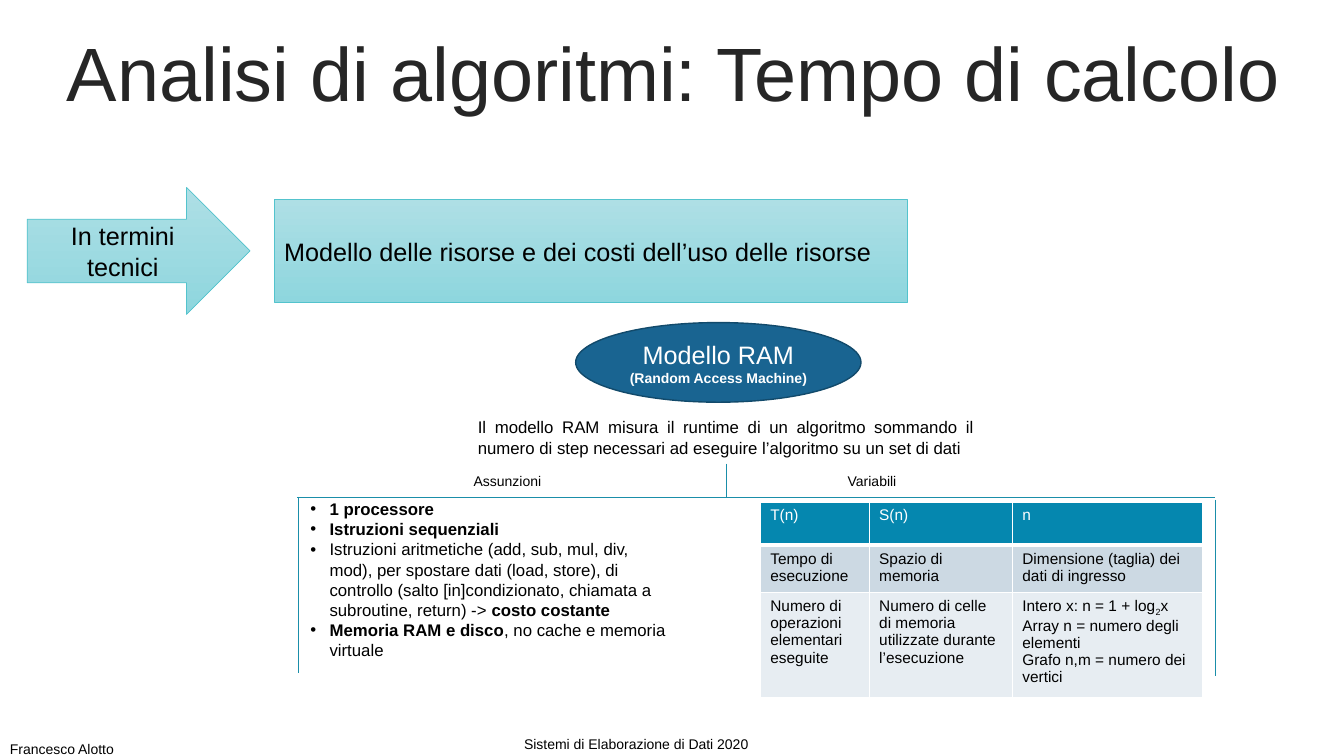
from lxml.etree import SubElement
from pptx import Presentation
from pptx.dml.color import RGBColor
from pptx.enum.shapes import MSO_CONNECTOR as LINK, MSO_SHAPE as SHAPE
from pptx.enum.text import MSO_ANCHOR as ANCHOR, PP_ALIGN as ALIGN
from pptx.oxml.ns import qn
from pptx.util import Inches, Pt

BLACK = RGBColor(0x00, 0x00, 0x00)
WHITE = RGBColor(0xFF, 0xFF, 0xFF)
DARK = RGBColor(0x26, 0x26, 0x26)
PALE = RGBColor(0xAE, 0xDF, 0xE5)
AQUA = RGBColor(0x8E, 0xD6, 0xDE)
EDGE = RGBColor(0x53, 0xC3, 0xCD)
BLUE = RGBColor(0x19, 0x64, 0x91)
NAVY = RGBColor(0x12, 0x4A, 0x6B)
TEAL = RGBColor(0x1A, 0x8E, 0xA9)
HEAD = RGBColor(0x05, 0x87, 0xAF)
MIST = RGBColor(0xCC, 0xD9, 0xE3)
FOG = RGBColor(0xE7, 0xED, 0xF2)


class Deck:
    font = "Arial"

    def __init__(self):
        self.file = Presentation()
        self.file.slide_width = Inches(13.33)
        self.file.slide_height = Inches(7.5)
        self.slide = self.file.slides.add_slide(self.file.slide_layouts[6])

    def put(self, frame, paras, size, color=BLACK, align=ALIGN.LEFT):
        """Fill a frame; a paragraph is a list of (text, options) runs."""
        frame.word_wrap = True
        for i, runs in enumerate(paras):
            para = frame.add_paragraph() if i else frame.paragraphs[0]
            para.alignment = align
            for text, opts in runs:
                run = para.add_run()
                run.text = text
                run.font.name = self.font
                run.font.size = Pt(opts.get("size", size))
                run.font.bold = opts.get("bold", False)
                run.font.color.rgb = color
                if "base" in opts:
                    run.font._element.set("baseline", str(opts["base"]))

    def text(self, box, paras, size, **style):
        frame = self.slide.shapes.add_textbox(*map(Inches, box)).text_frame
        self.put(frame, paras, size, **style)
        return frame

    def title(self, box, text):
        frame = self.text(box, [[(text, {})]], 54, color=DARK, align=ALIGN.CENTER)
        frame.vertical_anchor = ANCHOR.MIDDLE
        frame.paragraphs[0].line_spacing = 0.9
        frame.paragraphs[0].space_before = Pt(10)

    def bullets(self, box, paras, size):
        for para in self.text(box, paras, size).paragraphs:
            props = para._p.get_or_add_pPr()
            props.set("marL", str(Inches(0.69)))
            props.set("indent", str(Inches(-0.19)))
            SubElement(props, qn("a:buFont")).set("typeface", self.font)
            SubElement(props, qn("a:buChar")).set("char", "•")

    def shape(self, kind, box, paras, fills, edge, width, **style):
        """Add a shape filled with one colour, or with two from top to bottom."""
        shape = self.slide.shapes.add_shape(kind, *map(Inches, box))
        shape.shadow.inherit = False
        if len(fills) == 1:
            shape.fill.solid()
            shape.fill.fore_color.rgb = fills[0]
        else:
            shape.fill.gradient()
            shape.fill.gradient_angle = 270
            for stop, color in zip(shape.fill.gradient_stops, fills):
                stop.color.rgb = color
        shape.line.color.rgb = edge
        shape.line.width = Pt(width)
        shape.text_frame.vertical_anchor = ANCHOR.MIDDLE
        self.put(shape.text_frame, paras, 18, **style)

    def line(self, ends, kind=LINK.STRAIGHT):
        line = self.slide.shapes.add_connector(kind, *map(Inches, ends))
        line.line.color.rgb = TEAL
        line.line.width = Pt(0.5)
        SubElement(line._element.spPr, qn("a:effectLst"))
        return line

    def bend(self, x, top, left, base):
        """Run down from (x, top), then left to (left, base)."""
        wide, high = x - left, base - top
        midx, midy = (x + left) / 2, (top + base) / 2
        ends = (midx - high / 2, midy - wide / 2, midx + high / 2, midy + wide / 2)
        props = self.line(ends, LINK.ELBOW)._element.spPr
        props.find(qn("a:xfrm")).set("rot", "5400000")
        props.find(qn("a:prstGeom")).set("prst", "bentConnector2")

    def border(self, cell, side, width):
        line = SubElement(cell._tc.get_or_add_tcPr(), qn("a:" + side))
        line.set("w", str(Pt(width)))
        fill = SubElement(line, qn("a:solidFill"))
        SubElement(fill, qn("a:srgbClr")).set("val", str(WHITE))

    def table(self, box, cols, highs, rows, fills):
        grid = self.slide.shapes.add_table(len(rows), len(cols), *map(Inches, box)).table
        for col, wide in zip(grid.columns, cols):
            col.width = Inches(wide)
        for r, row in enumerate(rows):
            grid.rows[r].height = Inches(highs[r])
            for c, paras in enumerate(row):
                cell = grid.cell(r, c)
                for side in ("lnL", "lnR", "lnT", "lnB"):
                    thick = (r, side) in ((0, "lnB"), (1, "lnT"))
                    self.border(cell, side, 3 if thick else 1)
                cell.fill.solid()
                cell.fill.fore_color.rgb = fills[r]
                self.put(cell.text_frame, paras, 11, color=BLACK if r else WHITE)


def plain(text):
    return [[(text, {})]]


def main():
    deck = Deck()
    bold = {"bold": True}
    deck.title((0.35, 0.37, 12.66, 0.79), "Analisi di algoritmi: Tempo di calcolo")
    deck.shape(SHAPE.RIGHT_ARROW, (0.27, 1.86, 2.21, 1.26), plain("In termini tecnici"),
               (PALE, AQUA), EDGE, 0.5, align=ALIGN.CENTER)
    deck.shape(SHAPE.RECTANGLE, (2.72, 1.98, 6.28, 1.02),
               plain("Modello delle risorse e dei costi dell’uso delle risorse"),
               (PALE, AQUA), EDGE, 0.5)
    deck.shape(SHAPE.OVAL, (5.71, 3.2, 2.83, 0.79),
               [[("Modello RAM", {})],
                [("(Random Access Machine)", {"size": 10, "bold": True})]],
               (BLUE,), NAVY, 1, color=WHITE, align=ALIGN.CENTER)
    deck.text((4.64, 4.09, 5.12, 0.5),
              plain("Il modello RAM misura il runtime di un algoritmo sommando il numero "
                    "di step necessari ad eseguire l’algoritmo su un set di dati"),
              12, align=ALIGN.JUSTIFY)

    left, mid, right, base = 2.95, 7.2, 12.05, 4.93
    deck.bend(mid, 4.6, left, base)
    for ends in ((left, base, mid, base), (mid, base, right, base),
                 (2.96, base, 2.96, 6.68), (right, 4.96, right, 6.71)):
        deck.line(ends)

    deck.bullets((2.48, 4.9, 4.25, 1.72), [
        [("1 processore", bold)],
        [("Istruzioni sequenziali", bold)],
        [("Istruzioni aritmetiche (add, sub, mul, div, mod), per spostare dati "
          "(load, store), di controllo (salto [in]condizionato, chiamata a "
          "subroutine, return) -> ", {}), ("costo costante", bold)],
        [("Memoria RAM e disco", bold), (", no cache e memoria virtuale", {})],
    ], 12)

    sizes = [[("Intero x: n = 1 + log", {}), ("2", {"base": -25000}), ("x", {})],
             [("Array n = numero degli elementi", {})],
             [("Grafo n,m = numero dei vertici", {})]]
    deck.table((7.54, 4.98, 4.39, 1.92), (1.08, 1.42, 1.89), (0.43, 0.47, 1.02), [
        [plain("T(n)"), plain("S(n)"), plain("n")],
        [plain("Tempo di esecuzione"), plain("Spazio di memoria"),
         plain("Dimensione (taglia) dei dati di ingresso")],
        [plain("Numero di operazioni elementari eseguite"),
         plain("Numero di celle di memoria utilizzate durante l’esecuzione"), sizes],
    ], (HEAD, MIST, FOG))

    for x, y, wide, label in ((4.6, 4.64, 1.97, "Assunzioni"),
                              (8.31, 4.64, 1.97, "Variabili"),
                              (5.1, 7.25, 2.66, "Sistemi di Elaborazione di Dati 2020"),
                              (0, 7.3, 2.66, "Francesco Alotto")):
        deck.text((x, y, wide, 0.27), plain(label), 10)
    deck.file.save("out.pptx")


if __name__ == "__main__":
    main()
